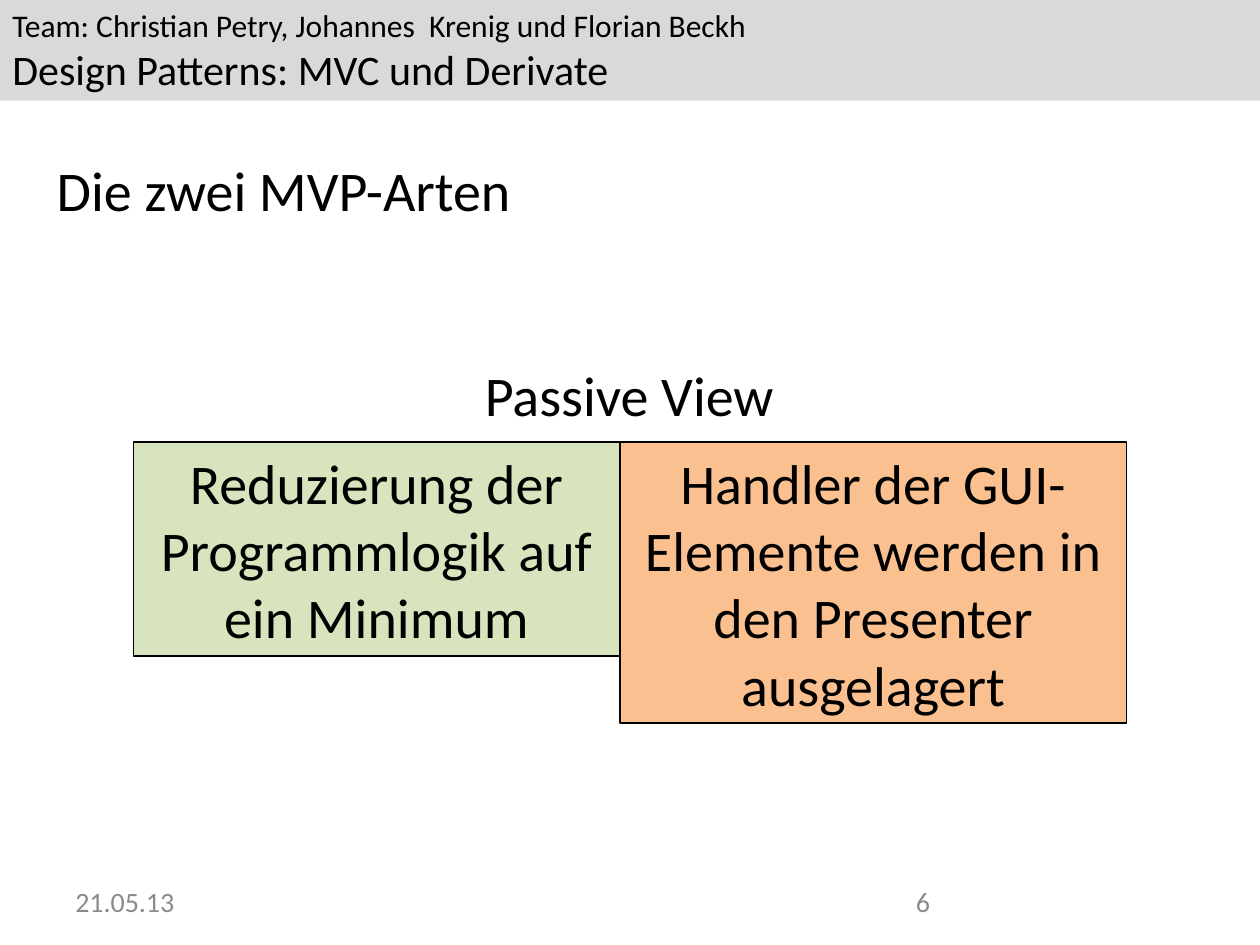
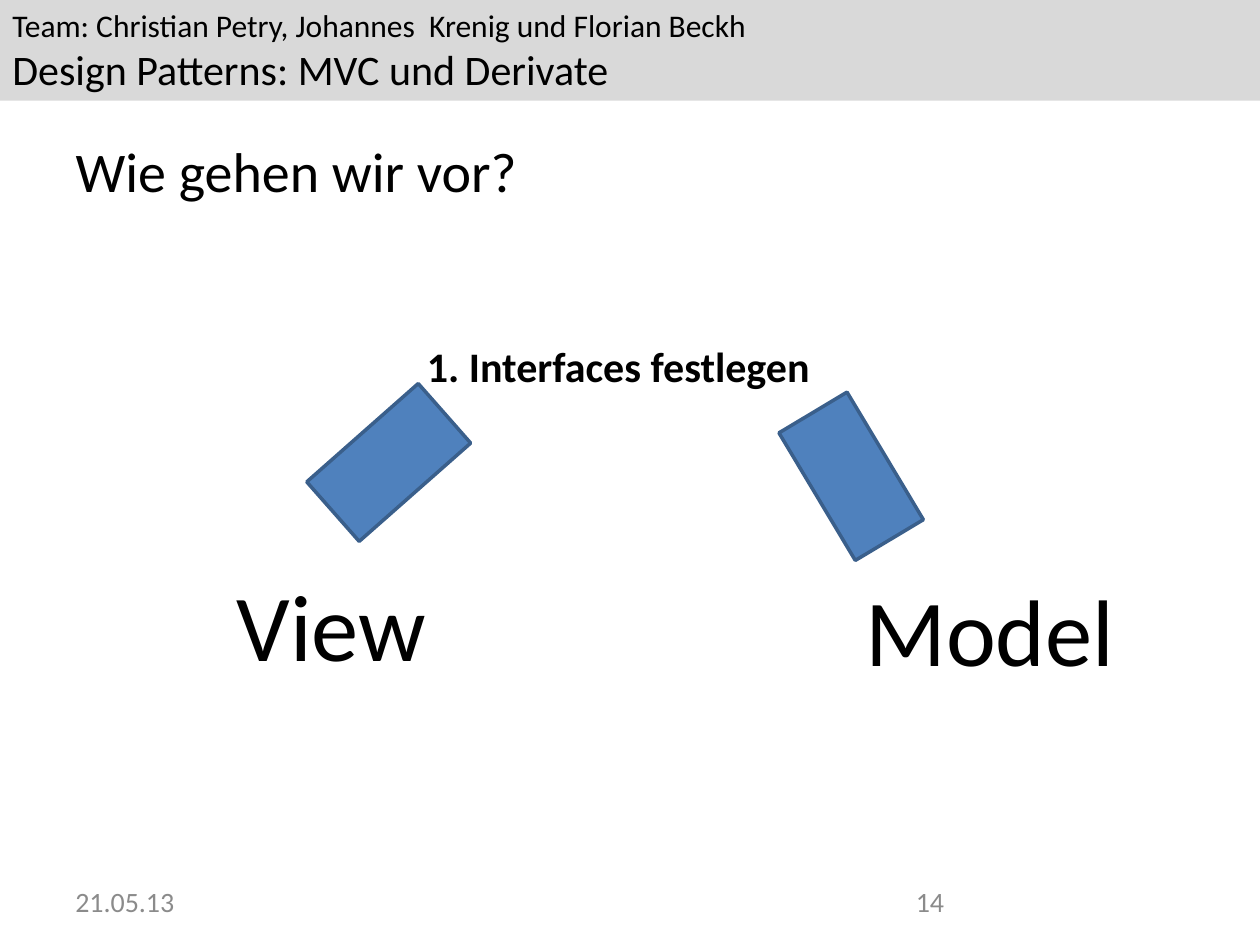
from dataclasses import dataclass
from typing import Optional

from pptx import Presentation
from pptx.dml.color import RGBColor
from pptx.enum.shapes import MSO_SHAPE
from pptx.enum.text import MSO_ANCHOR, MSO_AUTO_SIZE, PP_ALIGN
from pptx.util import Inches, Pt

FONT = "Calibri"
BLACK = RGBColor(0x00, 0x00, 0x00)
GRAY = RGBColor(0x8B, 0x8B, 0x8B)
SILVER = RGBColor(0xD9, 0xD9, 0xD9)
GREEN = RGBColor(0xD7, 0xE4, 0xBD)
ORANGE = RGBColor(0xFA, 0xC0, 0x90)
BLUE = RGBColor(0x4F, 0x81, 0xBD)
NAVY = RGBColor(0x3A, 0x5F, 0x8B)


@dataclass
class Area:
    left: float
    top: float
    width: float
    height: float

    def emu(self) -> tuple:
        return tuple(map(Inches, (self.left, self.top, self.width, self.height)))


@dataclass
class Line:
    text: str
    size: int
    color: RGBColor = BLACK
    bold: bool = False


@dataclass
class Label:
    area: Area
    line: Line
    align: PP_ALIGN = PP_ALIGN.LEFT
    anchor: MSO_ANCHOR = MSO_ANCHOR.TOP
    wrap: bool = True


@dataclass
class Box:
    area: Area
    fill: RGBColor
    edge: Optional[RGBColor] = None
    weight: float = 1
    angle: float = 0
    lines: tuple = ()
    align: PP_ALIGN = PP_ALIGN.CENTER


def write(frame, lines: tuple, align: PP_ALIGN, anchor: MSO_ANCHOR, wrap: bool = True) -> None:
    frame.word_wrap = wrap
    frame.auto_size = MSO_AUTO_SIZE.NONE if wrap else MSO_AUTO_SIZE.SHAPE_TO_FIT_TEXT
    frame.vertical_anchor = anchor
    for index, line in enumerate(lines):
        para = frame.add_paragraph() if index else frame.paragraphs[0]
        para.alignment = align
        run = para.add_run()
        run.text = line.text
        run.font.name = FONT
        run.font.size = Pt(line.size)
        run.font.bold = line.bold
        run.font.color.rgb = line.color


def add_label(slide, label: Label) -> None:
    frame = slide.shapes.add_textbox(*label.area.emu()).text_frame
    write(frame, (label.line,), label.align, label.anchor, label.wrap)


def add_box(slide, box: Box):
    shape = slide.shapes.add_shape(MSO_SHAPE.RECTANGLE, *box.area.emu())
    shape.shadow.inherit = False
    shape.rotation = box.angle
    shape.fill.solid()
    shape.fill.fore_color.rgb = box.fill
    if box.edge is None:
        shape.line.fill.background()
    else:
        shape.line.color.rgb = box.edge
        shape.line.width = Pt(box.weight)
    write(shape.text_frame, box.lines, box.align, MSO_ANCHOR.TOP)
    return shape


def add_page(deck, layout, title: str, area: Area, number: int):
    slide = deck.slides.add_slide(layout)
    head = slide.shapes.title
    head.left, head.top, head.width, head.height = area.emu()
    write(head.text_frame, (Line(title, 32),), PP_ALIGN.LEFT, MSO_ANCHOR.MIDDLE)
    for left, text in ((0.5, "21.05.13"), (7.17, str(number))):
        foot = Line(text, 16, GRAY)
        add_label(slide, Label(Area(left, 6.95, 2.33, 0.4), foot, anchor=MSO_ANCHOR.MIDDLE))
    return slide


def add_band(slide, layout) -> None:
    band = add_box(slide, Box(
        Area(0, 0, 10, 0.8), SILVER, align=PP_ALIGN.LEFT,
        lines=(Line("Team: Christian Petry, Johannes  Krenig und Florian Beckh", 18),
               Line("Design Patterns: MVC und Derivate", 24))))
    layout.shapes._spTree.insert(2, band._element)


def add_kinds(slide) -> None:
    left, top, split = 1.06, 3.51, 4.92
    add_label(slide, Label(Area(left, 2.81, 7.87, 0.71), Line("Passive View", 32), PP_ALIGN.CENTER))
    for area, fill, text in (
        (Area(left, top, split - left, 1.7), GREEN,
         "Reduzierung der Programmlogik auf ein Minimum"),
        (Area(split, top, 4.02, 2.23), ORANGE,
         "Handler der GUI-Elemente werden in den Presenter ausgelagert"),
    ):
        add_box(slide, Box(area, fill, BLACK, lines=(Line(text, 32),)))


def add_steps(slide) -> None:
    step = Line("1. Interfaces festlegen", 24, bold=True)
    add_label(slide, Label(Area(3.29, 2.65, 3.24, 0.5), step, wrap=False))
    for left, top, angle in ((2.77, 3.08, 228.6), (6.44, 3.19, 149.1)):
        add_box(slide, Box(Area(left, top, 0.63, 1.18), BLUE, NAVY, 2, angle))
    for area, text in ((Area(6.77, 4.49, 2.19, 1), "Model"), (Area(1.78, 4.45, 1.7, 1), "View")):
        add_label(slide, Label(area, Line(text, 54), wrap=False))


def main() -> None:
    deck = Presentation()
    deck.slide_width, deck.slide_height = Inches(10), Inches(7.5)
    layout = deck.slide_layouts[5]
    kinds = add_page(deck, layout, "Die zwei MVP-Arten", Area(0.35, 0.99, 9, 1.02), 6)
    add_band(kinds, layout)
    add_kinds(kinds)
    steps = add_page(deck, layout, "Wie gehen wir vor?", Area(0.5, 0.84, 9, 1.02), 14)
    add_steps(steps)
    deck.save("out.pptx")


if __name__ == "__main__":
    main()
